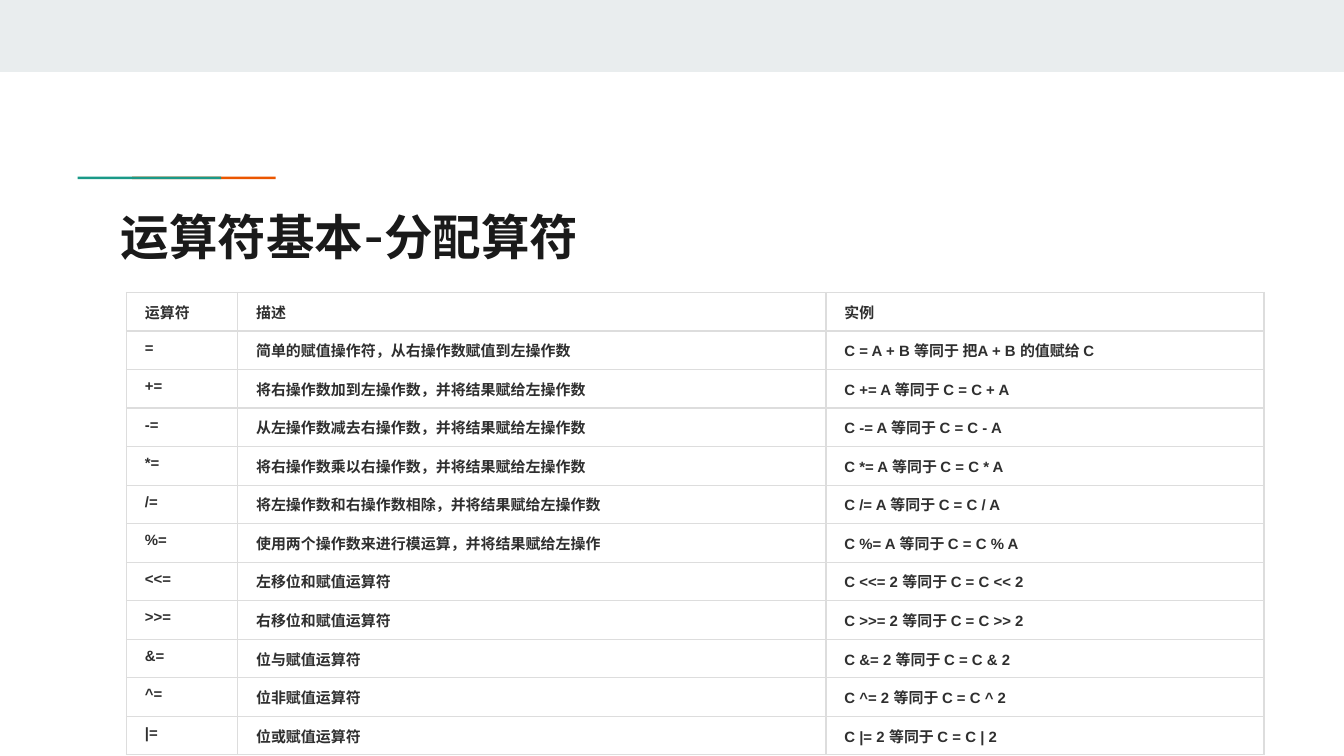
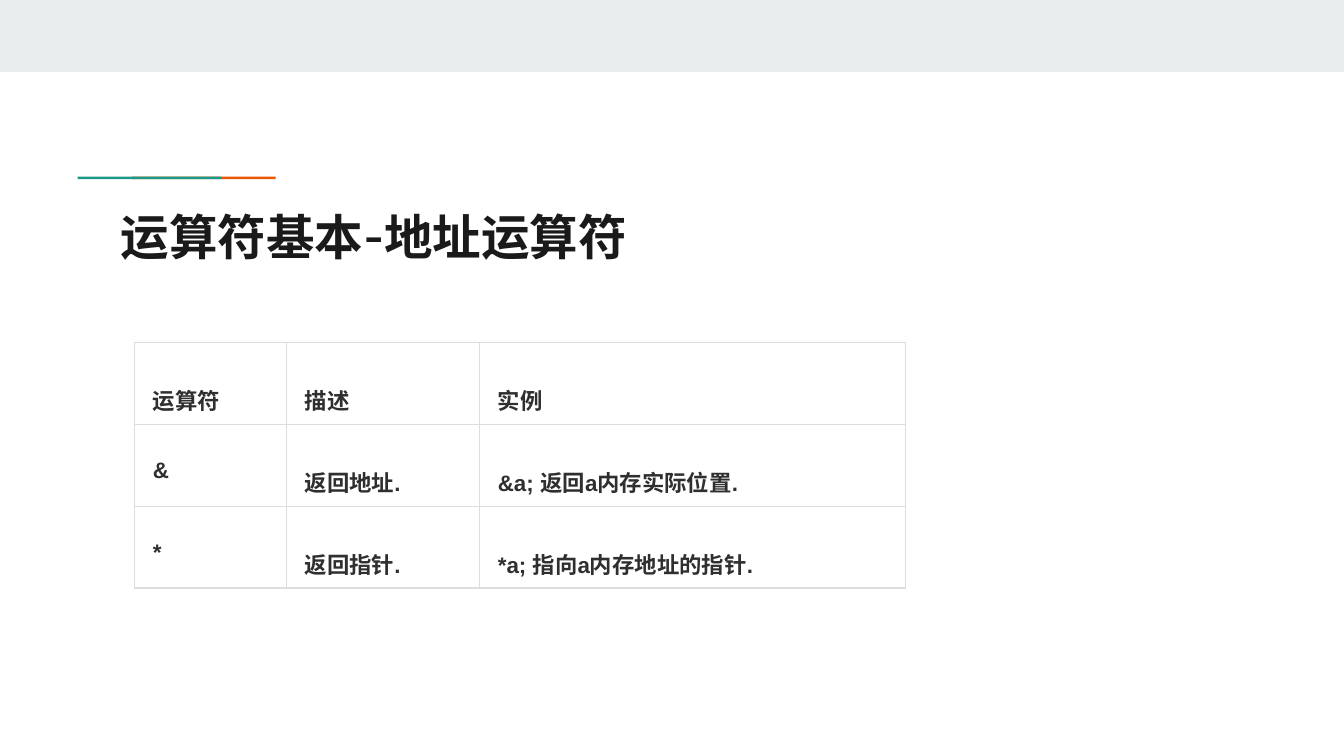
import dataclasses

import lxml.etree
import pptx
import pptx.dml.color
import pptx.enum.shapes
import pptx.enum.text
import pptx.oxml.ns
import pptx.util

Cm = pptx.util.Cm


@dataclasses.dataclass(frozen=True)
class Theme:
    band: str = "E9EDEE"
    teal: str = "1A9988"
    orange: str = "EB5600"
    heading: str = "1A1A1A"
    body: str = "2F2F2F"
    border: str = "DDDDDD"
    paper: str = "FFFFFF"
    heading_font: str = "Manrope"
    body_font: str = "Arial"
    heading_size: int = 26
    small_size: int = 8
    large_size: int = 12
    border_width: float = 0.75


THEME = Theme()
CELL_SIDE_MARGIN = Cm(0.35)
CELL_END_MARGIN = Cm(2.54 / 16)
HEADINGS = ("运算符", "描述", "实例")
ASSIGNMENTS = (
    ("+=", "将右操作数加到左操作数，并将结果赋给左操作数", "A"),
    ("-=", "从左操作数减去右操作数，并将结果赋给左操作数", "A"),
    ("*=", "将右操作数乘以右操作数，并将结果赋给左操作数", "A"),
    ("/=", "将左操作数和右操作数相除，并将结果赋给左操作数", "A"),
    ("%=", "使用两个操作数来进行模运算，并将结果赋给左操作", "A"),
    ("<<=", "左移位和赋值运算符", "2"),
    (">>=", "右移位和赋值运算符", "2"),
    ("&=", "位与赋值运算符", "2"),
    ("^=", "位非赋值运算符", "2"),
    ("|=", "位或赋值运算符", "2"),
)
ADDRESSES = (
    ("&", "返回地址.", "&a; 返回a内存实际位置."),
    ("*", "返回指针.", "*a; 指向a内存地址的指针."),
)


def rgb(value):
    return pptx.dml.color.RGBColor.from_string(value)


def write_text(frame, text, *, size, font, color, line_spacing=None):
    frame.word_wrap = True
    paragraph = frame.paragraphs[0]
    paragraph.alignment = pptx.enum.text.PP_ALIGN.LEFT
    if line_spacing:
        paragraph.line_spacing = line_spacing
    run = paragraph.add_run()
    run.text = text
    run.font.size = pptx.util.Pt(size)
    run.font.name = font
    run.font.bold = True
    run.font.color.rgb = rgb(color)


def add_bar(slide, left, top, width, height, color):
    bar = slide.shapes.add_shape(
        pptx.enum.shapes.MSO_SHAPE.RECTANGLE, Cm(left), Cm(top), Cm(width), Cm(height)
    )
    bar.shadow.inherit = False
    bar.fill.solid()
    bar.fill.fore_color.rgb = rgb(color)
    bar.line.fill.background()


def add_titled_slide(deck, heading):
    slide = deck.slides.add_slide(deck.slide_layouts[5])
    add_bar(slide, 0, 0, 25.4, 1.36, THEME.band)
    for left, color in ((2.5, THEME.orange), (1.47, THEME.teal)):
        add_bar(slide, left, 3.34, 2.71, 0.05, color)
    title = slide.shapes.title
    title.left, title.top, title.width, title.height = Cm(2.03), Cm(3.66), Cm(21.36), Cm(1.5)
    frame = title.text_frame
    frame.auto_size = pptx.enum.text.MSO_AUTO_SIZE.NONE
    frame.vertical_anchor = pptx.enum.text.MSO_ANCHOR.TOP
    frame.margin_left = frame.margin_right = Cm(0.25)
    frame.margin_top = frame.margin_bottom = Cm(0.25)
    write_text(frame, heading, size=THEME.heading_size, font=THEME.heading_font,
               color=THEME.heading)
    return slide


def outline_cell(cell):
    properties = cell._tc.get_or_add_tcPr()
    qn = pptx.oxml.ns.qn
    for position, side in enumerate(("lnL", "lnR", "lnT", "lnB")):
        edge = lxml.etree.Element(qn(f"a:{side}"), w=str(pptx.util.Pt(THEME.border_width)))
        fill = lxml.etree.SubElement(edge, qn("a:solidFill"))
        lxml.etree.SubElement(fill, qn("a:srgbClr"), val=THEME.border)
        properties.insert(position, edge)


def add_operator_table(slide, rows, left, top, widths, heights, size, line_spacing=None):
    table = slide.shapes.add_table(
        len(rows), len(widths), Cm(left), Cm(top), Cm(sum(widths)), Cm(sum(heights))
    ).table
    table.first_row = table.horz_banding = False
    for column, width in zip(table.columns, widths):
        column.width = Cm(width)
    for row, height, texts in zip(table.rows, heights, rows):
        row.height = Cm(height)
        for cell, text in zip(row.cells, texts):
            cell.fill.solid()
            cell.fill.fore_color.rgb = rgb(THEME.paper)
            outline_cell(cell)
            cell.margin_left = cell.margin_right = CELL_SIDE_MARGIN
            cell.margin_top = cell.margin_bottom = CELL_END_MARGIN
            write_text(cell.text_frame, text, size=size, font=THEME.body_font,
                       color=THEME.body, line_spacing=line_spacing)


def assignment_rows():
    plain = ("=", "简单的赋值操作符，从右操作数赋值到左操作数",
             "C = A + B 等同于 把A + B 的值赋给 C")
    compound = [
        (symbol, meaning, f"C {symbol} {operand} 等同于 C = C {symbol[:-1]} {operand}")
        for symbol, meaning, operand in ASSIGNMENTS
    ]
    return [HEADINGS, plain, *compound]


def main():
    deck = pptx.Presentation()
    deck.slide_width, deck.slide_height = Cm(25.4), Cm(14.29)

    assignment = add_titled_slide(deck, "运算符基本-分配算符")
    rows = assignment_rows()
    add_operator_table(assignment, rows, 2.39, 5.53, (2.1, 11.12, 8.28),
                       [0.64] + [0.58] * (len(rows) - 1), THEME.small_size)

    address = add_titled_slide(deck, "运算符基本-地址运算符")
    rows = [HEADINGS, *ADDRESSES]
    add_operator_table(address, rows, 2.54, 6.48, (2.87, 3.65, 8.05),
                       [1.14] * len(rows), THEME.large_size, line_spacing=2.0)

    deck.save("out.pptx")


if __name__ == "__main__":
    main()
